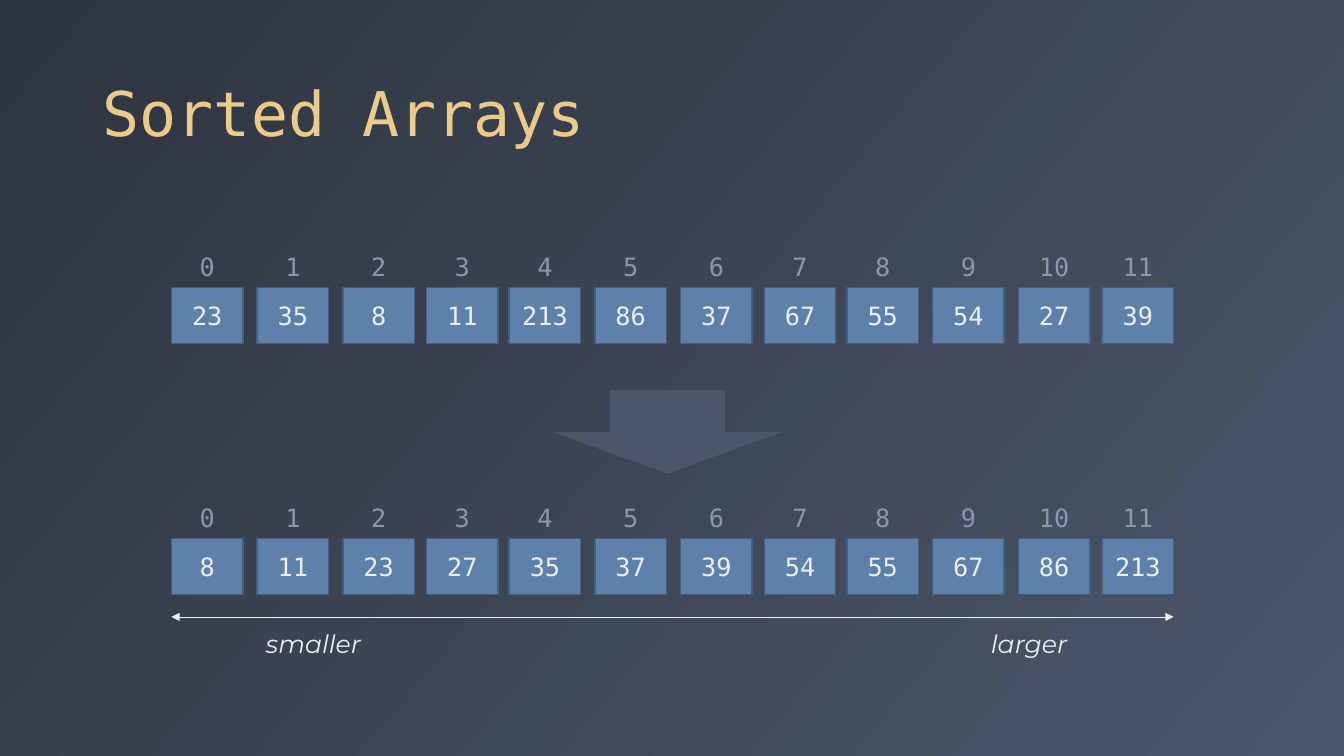
from lxml.etree import SubElement
from pptx import Presentation
from pptx.dml.color import RGBColor
from pptx.enum.shapes import MSO_CONNECTOR, MSO_SHAPE
from pptx.enum.text import MSO_ANCHOR, MSO_AUTO_SIZE, PP_ALIGN
from pptx.oxml.ns import qn
from pptx.util import Inches, Pt

DARK = RGBColor(0x2E, 0x34, 0x40)
SLATE = RGBColor(0x4C, 0x56, 0x69)
GOLD = RGBColor(0xEB, 0xCB, 0x8B)
BLUE = RGBColor(0x5E, 0x81, 0xAC)
BORDER = RGBColor(0x46, 0x5F, 0x7F)
WHITE = RGBColor(0xEC, 0xEF, 0xF3)
GREY = RGBColor(0x8C, 0x97, 0xAC)
MONO, SANS = "DejaVu Sans Mono", "Montserrat"

UNSORTED = [23, 35, 8, 11, 213, 86, 37, 67, 55, 54, 27, 39]
ARRAY_LEFT, ARRAY_RIGHT = 1.7, 11.64
CELL_W, CELL_H, INDEX_H = 0.71, 0.56, 0.4
# Cells repeat in sets of four
SET_OFFSETS, SET_W = (0, 0.85, 1.7, 2.53), 3.35


def write(sp, text, size=18, font=MONO, color=WHITE, italic=None,
          align=None, anchor=MSO_ANCHOR.TOP, spacing=None):
    tf = sp.text_frame
    tf.vertical_anchor = anchor
    p = tf.paragraphs[0]
    p.alignment = align
    p.line_spacing = spacing
    r = p.add_run()
    r.text = text
    r.font.size = Pt(size)
    r.font.name = font
    r.font.color.rgb = color
    r.font.italic = italic


def add_text(shapes, box, text, wrap=True, grow=True, **fmt):
    sp = shapes.add_textbox(*map(Inches, box))
    sp.text_frame.word_wrap = wrap
    if grow:
        sp.text_frame.auto_size = MSO_AUTO_SIZE.SHAPE_TO_FIT_TEXT
    write(sp, text, **fmt)


def add_block(shapes, preset, box, fill, line=None):
    sp = shapes.add_shape(preset, *map(Inches, box))
    sp.shadow.inherit = False
    sp.fill.solid()
    sp.fill.fore_color.rgb = fill
    if line is None:
        sp.line.fill.background()
    else:
        sp.line.color.rgb = line
        sp.line.width = Pt(1)
    return sp


def add_array(s, left, top, values):
    """Draw a row of value cells, each grouped with the index above it."""
    for i, value in enumerate(values):
        x = left + i // 4 * SET_W + SET_OFFSETS[i % 4]
        cell = s.shapes.add_group_shape().shapes
        sp = add_block(cell, MSO_SHAPE.RECTANGLE,
                       (x, top + 0.41, CELL_W, CELL_H), BLUE, BORDER)
        write(sp, str(value), align=PP_ALIGN.CENTER, anchor=MSO_ANCHOR.MIDDLE)
        add_text(cell, (x, top, CELL_W, INDEX_H), str(i),
                 color=GREY, align=PP_ALIGN.CENTER)


def add_scale(s, left, right, top):
    """Draw the double-headed arrow with its labels below."""
    line = s.shapes.add_connector(MSO_CONNECTOR.STRAIGHT, Inches(left),
                                  Inches(top), Inches(right), Inches(top))
    line.line.color.rgb = WHITE
    line.line.width = Pt(0.5)
    ln = line.line._get_or_add_ln()
    for end in ("a:headEnd", "a:tailEnd"):
        SubElement(ln, qn(end), type="triangle")
    SubElement(line._element.spPr, qn("a:effectLst"))
    for text, x, width in (("smaller", left + 0.84, 1.16),
                           ("larger", right - 1.91, 0.97)):
        add_text(s.shapes, (x, top + 0.06, width, 0.4), text,
                 wrap=False, font=SANS, italic=True)


def set_background(s):
    fill = s.background.fill
    fill.gradient()
    fill.gradient_angle = 320
    for stop, color in zip(fill.gradient_stops, (DARK, SLATE)):
        stop.color.rgb = color


def build_sorted_arrays(prs):
    s = prs.slides.add_slide(prs.slide_layouts[6])
    set_background(s)
    add_text(s.shapes, (0.92, 0.18, 11.5, 1.36), "Sorted Arrays", grow=False,
             size=44, color=GOLD, anchor=MSO_ANCHOR.BOTTOM, spacing=0.9)
    add_array(s, ARRAY_LEFT, 2.44, UNSORTED)
    add_array(s, ARRAY_LEFT, 4.93, sorted(UNSORTED))
    add_block(s.shapes, MSO_SHAPE.DOWN_ARROW, (5.48, 3.87, 2.28, 0.83), SLATE)
    add_scale(s, ARRAY_LEFT, ARRAY_RIGHT, 6.12)


def main():
    prs = Presentation()
    prs.slide_width, prs.slide_height = Inches(13.33), Inches(7.5)
    build_sorted_arrays(prs)
    prs.save("out.pptx")


if __name__ == "__main__":
    main()
